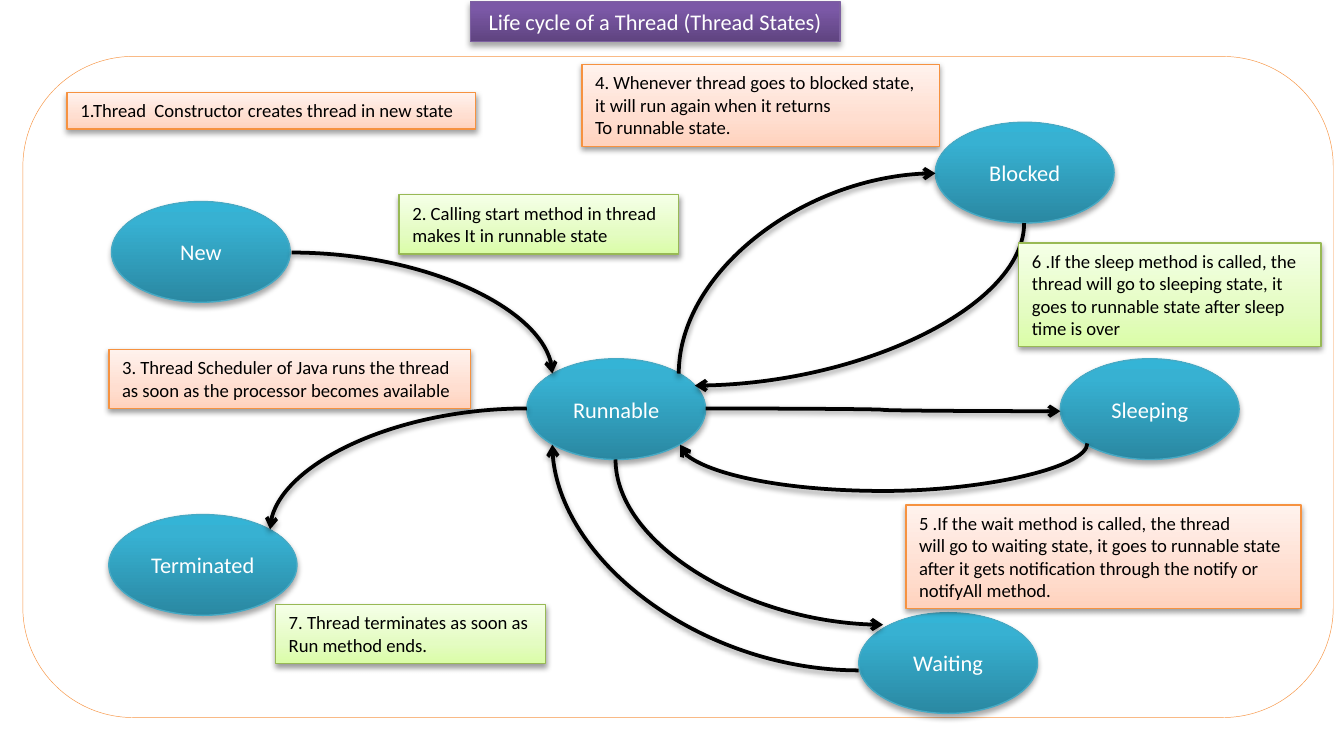
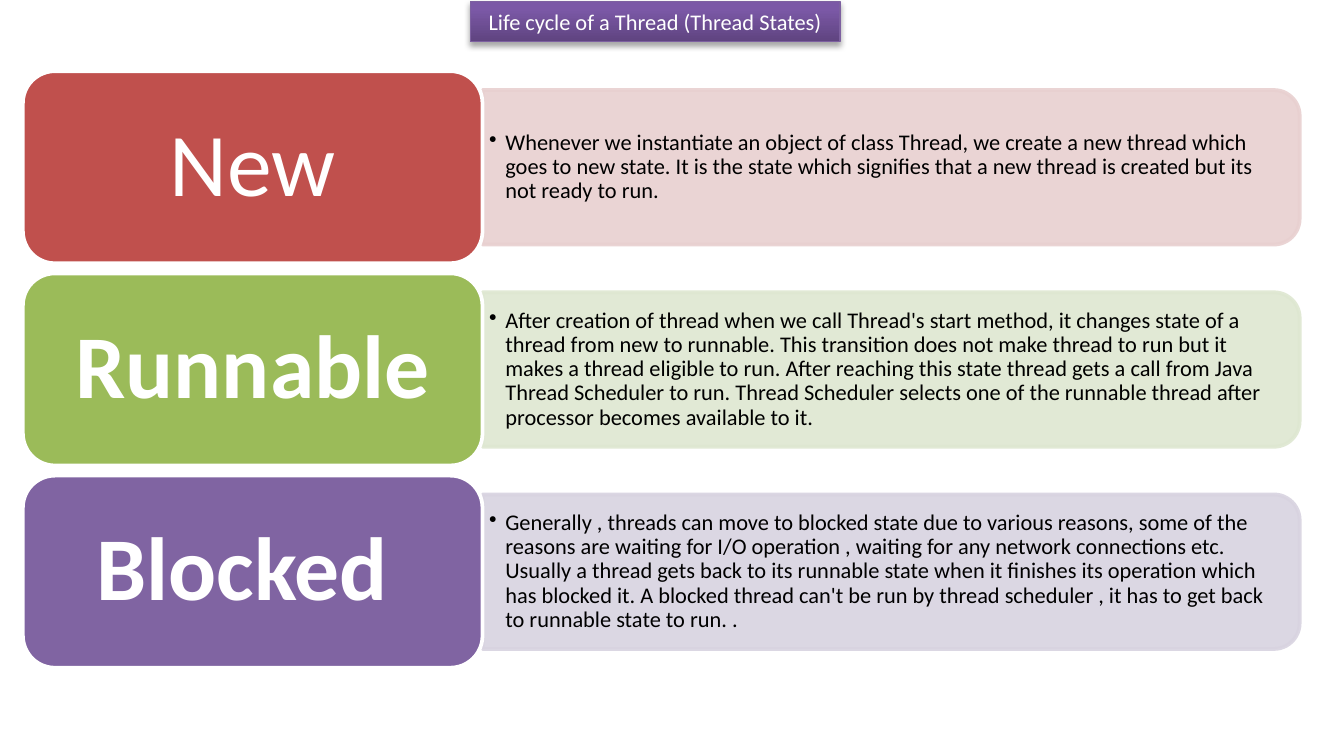
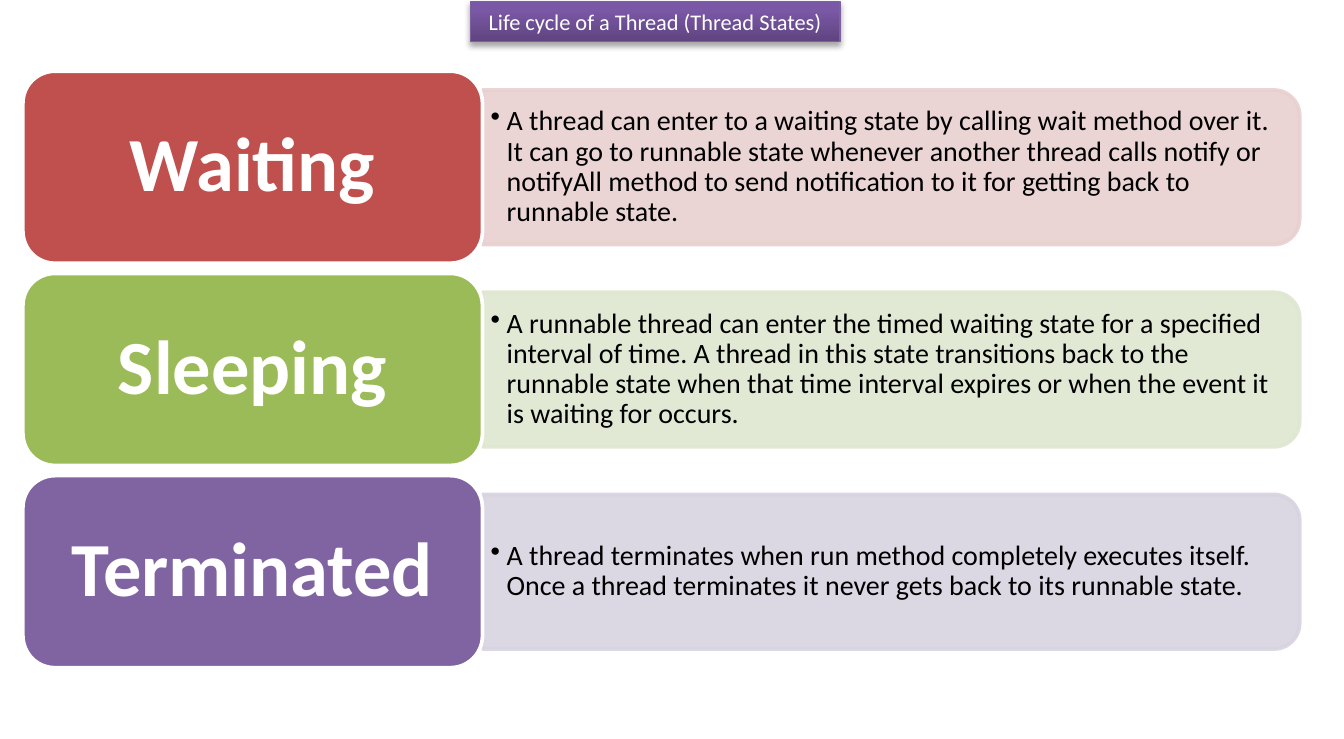
from typing import NamedTuple, Sequence

from lxml import etree
from pptx import Presentation
from pptx.dml.color import RGBColor
from pptx.enum.shapes import MSO_CONNECTOR, MSO_SHAPE
from pptx.enum.text import MSO_ANCHOR, MSO_AUTO_SIZE, PP_ALIGN
from pptx.oxml.ns import qn
from pptx.util import Inches, Pt

RECT = MSO_SHAPE.RECTANGLE
ROUND_RECT = MSO_SHAPE.ROUNDED_RECTANGLE
ROUND_TOP = MSO_SHAPE.ROUND_2_SAME_RECTANGLE
ELLIPSE = MSO_SHAPE.OVAL
CURVE = MSO_CONNECTOR.CURVE
TOP, MIDDLE = MSO_ANCHOR.TOP, MSO_ANCHOR.MIDDLE
LEFT, CENTER = PP_ALIGN.LEFT, PP_ALIGN.CENTER
FIT_SHAPE, FIXED = MSO_AUTO_SIZE.SHAPE_TO_FIT_TEXT, MSO_AUTO_SIZE.NONE

FONT = "Calibri"
BLACK = RGBColor(0x00, 0x00, 0x00)
WHITE = RGBColor(0xFF, 0xFF, 0xFF)
FRAME_ORANGE = RGBColor(0xF7, 0x96, 0x46)
RED = RGBColor(0xC0, 0x50, 0x4D)
GREEN = RGBColor(0x9B, 0xBB, 0x59)
PURPLE = RGBColor(0x80, 0x64, 0xA2)
PALE_RED = RGBColor(0xE8, 0xD0, 0xD0)
PALE_GREEN = RGBColor(0xDE, 0xE7, 0xD1)
PALE_PURPLE = RGBColor(0xD8, 0xD3, 0xE0)


class Glossy(NamedTuple):
    """Gradient stops from bottom to top, outline and shadow."""
    stops: tuple[tuple[int, str], ...]
    outline: RGBColor
    shadow_opacity: int
    shadow_distance: float


TITLE_LOOK = Glossy(((0, "5F4480"), (80, "7B58A6"), (100, "7C57A8")),
                    RGBColor(0x7D, 0x60, 0xA0), 35, 1.8)
STATE_LOOK = Glossy(((0, "2A88A2"), (80, "37B1D2"), (100, "34B4D6")),
                    RGBColor(0x46, 0xAA, 0xC5), 35, 1.8)
ORANGE_NOTE = Glossy(((0, "FFD2BD"), (35, "FFDED0"), (100, "FFF2ED")),
                     RGBColor(0xF6, 0x92, 0x40), 38, 1.6)
GREEN_NOTE = Glossy(((0, "DAFDA7"), (35, "E4FCC2"), (100, "F5FFE7")),
                    RGBColor(0x98, 0xB9, 0x55), 38, 1.6)


class State(NamedTuple):
    name: str
    left: float
    top: float
    width: float = 1.33


class Transition(NamedTuple):
    start: tuple[float, float]
    end: tuple[float, float]
    vertical_first: bool = False
    bulge: float = 0  # distance to the middle leg; 0 makes a single bend


class Note(NamedTuple):
    box: tuple[float, float, float, float]
    look: Glossy
    lines: tuple[str, ...]
    wrap: bool = False


class Card(NamedTuple):
    name: str
    description: str
    bold: bool = True


class CardStyle(NamedTuple):
    name_size: int
    description_size: int
    margin: float


STATES = (
    State("New", 0.83, 1.5),
    State("Terminated", 0.81, 3.83, 1.4),
    State("Runnable", 3.92, 2.67),
    State("Blocked", 6.96, 0.91),
    State("Waiting", 6.39, 4.56),
    State("Sleeping", 7.89, 2.67),
)
STATE_HEIGHT = 0.75

TRANSITIONS = (
    Transition((2.17, 1.88), (4.11, 2.78)),
    Transition((5.05, 2.78), (6.96, 1.29), vertical_first=True),
    Transition((7.62, 1.66), (5.17, 2.87), vertical_first=True),
    Transition((5.25, 3.04), (7.89, 3.06), bulge=1.32),
    Transition((8.09, 3.3), (5.06, 3.31), vertical_first=True, bulge=0.36),
    Transition((4.58, 3.42), (6.57, 4.65), vertical_first=True),
    Transition((6.39, 4.99), (4.11, 3.31)),
    Transition((3.92, 3.04), (2.01, 3.94)),
)

NOTES = (
    Note((0.5, 0.69, 3.04, 0.27), ORANGE_NOTE,
         ("1.Thread  Constructor creates thread in new state",)),
    Note((2.97, 1.45, 2.08, 0.44), GREEN_NOTE,
         ("2. Calling start method in thread", "makes It in runnable state")),
    Note((0.81, 2.6, 2.69, 0.44), ORANGE_NOTE,
         ("3. Thread Scheduler of Java runs the thread",
          "as soon as the processor becomes available")),
    Note((4.33, 0.48, 2.66, 0.61), ORANGE_NOTE,
         ("4. Whenever thread goes to blocked state,",
          "it will run again when it returns", "To runnable state.")),
    Note((6.74, 3.76, 2.94, 0.77), ORANGE_NOTE,
         ("5 .If the wait method is called, the thread",
          "will go to waiting state, it goes to runnable state",
          "after it gets notification through the notify or",
          "notifyAll method.")),
    Note((7.58, 1.81, 2.25, 0.77), GREEN_NOTE,
         ("6 .If the sleep method is called, the",
          "thread will go to sleeping state, it goes to runnable state "
          "after sleep time is over"), wrap=True),
    Note((2.05, 4.5, 2.01, 0.44), GREEN_NOTE,
         ("7. Thread terminates as soon as", "Run method ends.")),
)

FIRST_CARDS = (
    Card("New",
         "Whenever we instantiate an object of class Thread, we create a new "
         "thread which goes to new state. It is the state which signifies that "
         "a new thread is created but its not ready to run.", bold=False),
    Card("Runnable",
         "After creation of thread when we call Thread's start method, it "
         "changes state of a thread from new to runnable. This transition does "
         "not make thread to run but it makes a thread eligible to run. After "
         "reaching this state thread gets a call from Java Thread Scheduler to "
         "run. Thread Scheduler selects one of the runnable thread after "
         "processor becomes available to it."),
    Card("Blocked ",
         "Generally , threads can move to blocked state due to various reasons, "
         "some of the reasons are waiting for I/O operation , waiting for any "
         "network connections etc. Usually a thread gets back to its runnable "
         "state when it finishes its operation which has blocked it. A blocked "
         "thread can't be run by thread scheduler , it has to get back to "
         "runnable state to run. ."),
)
SECOND_CARDS = (
    Card("Waiting",
         "A thread can enter to a waiting state by calling wait method over it. "
         "It can go to runnable state whenever another thread calls notify or "
         "notifyAll method to send notification to it for getting back to "
         "runnable state."),
    Card("Sleeping",
         "A runnable thread can enter the timed waiting state for a specified "
         "interval of time. A thread in this state transitions back to the "
         "runnable state when that time interval expires or when the event it "
         "is waiting for occurs."),
    Card("Terminated",
         "A thread terminates when run method completely executes itself. Once "
         "a thread terminates it never gets back to its runnable state."),
)
CARD_COLORS = ((RED, PALE_RED), (GREEN, PALE_GREEN), (PURPLE, PALE_PURPLE))
CARD_LEFT, CARD_TOP, CARD_WIDTH, CARD_HEIGHT = 0.17, 0.53, 3.42, 1.43
CARD_PITCH = 1.505
BAND_LENGTH, BAND_HEIGHT = 6.08, 1.15
DESCRIPTION_WIDTH, DESCRIPTION_HEIGHT = 6.02, 1.03
BULLET_INDENT = Inches(0.12)


def add_child(parent, tag: str, **attributes):
    return etree.SubElement(parent, qn(tag),
                            {key: str(value) for key, value in attributes.items()})


def write_text(shape, paragraphs: Sequence[str], *, size: float,
               color: RGBColor = BLACK, bold: bool = False, align=LEFT,
               anchor=TOP, wrap: bool = True, fit=FIXED,
               margins: tuple[float, float] = (0.1, 0.05),
               spacing: float = 1.0, bullet: bool = False) -> None:
    frame = shape.text_frame
    frame.word_wrap, frame.auto_size, frame.vertical_anchor = wrap, fit, anchor
    frame.margin_left = frame.margin_right = Inches(margins[0])
    frame.margin_top = frame.margin_bottom = Inches(margins[1])
    for index, text in enumerate(paragraphs):
        paragraph = frame.add_paragraph() if index else frame.paragraphs[0]
        paragraph.alignment, paragraph.line_spacing = align, spacing
        if bullet:
            properties = paragraph._p.get_or_add_pPr()
            properties.set("marL", str(BULLET_INDENT))
            properties.set("indent", str(-BULLET_INDENT))
            add_child(properties, "a:buChar", char="•")
        run = paragraph.add_run()
        run.text = text
        run.font.name, run.font.size, run.font.bold = FONT, Pt(size), bold
        run.font.color.rgb = color


def add_shadow(item, opacity: int, distance: float) -> None:
    properties = item._element.spPr
    effects = properties.find(qn("a:effectLst"))
    if effects is None:
        effects = add_child(properties, "a:effectLst")
    shadow = add_child(effects, "a:outerShdw", blurRad=Pt(3.1), dist=Pt(distance),
                       dir=90 * 60000, rotWithShape=0)
    color = add_child(shadow, "a:srgbClr", val=BLACK)
    add_child(color, "a:alpha", val=opacity * 1000)


def add_box(slide, kind, box: Sequence[float], outline: RGBColor,
            line_width: float):
    shape = slide.shapes.add_shape(kind, *map(Inches, box))
    shape.shadow.inherit = False
    shape.line.color.rgb = outline
    shape.line.width = Pt(line_width)
    return shape


def add_plain(slide, kind, box: Sequence[float], fill: RGBColor,
              outline: RGBColor, line_width: float):
    shape = add_box(slide, kind, box, outline, line_width)
    shape.fill.solid()
    shape.fill.fore_color.rgb = fill
    return shape


def add_glossy(slide, kind, box: Sequence[float], look: Glossy):
    shape = add_box(slide, kind, box, look.outline, 0.75)
    shape.fill.gradient()
    shape.fill.gradient_angle = 90
    stops = shape._element.spPr.find(".//" + qn("a:gsLst"))
    for stop in list(stops):
        stops.remove(stop)
    for position, color in look.stops:
        stop = add_child(stops, "a:gs", pos=position * 1000)
        add_child(stop, "a:srgbClr", val=color)
    add_shadow(shape, look.shadow_opacity, look.shadow_distance)
    return shape


def add_title(slide) -> None:
    title = add_glossy(slide, RECT, (3.5, 0.01, 2.75, 0.3), TITLE_LOOK)
    write_text(title, ["Life cycle of a Thread (Thread States)"], size=12,
               color=WHITE, align=CENTER, fit=FIT_SHAPE)


def add_transition(slide, transition: Transition) -> None:
    (x1, y1), (x2, y2) = transition.start, transition.end
    run, rise = x2 - x1, y2 - y1
    if transition.vertical_first:  # laid out flat, then turned by 90 degrees
        run, rise = rise, -run
    mid_x, mid_y = (x1 + x2) / 2, (y1 + y2) / 2
    ends = (mid_x - run / 2, mid_y - rise / 2, mid_x + run / 2, mid_y + rise / 2)
    arrow = slide.shapes.add_connector(CURVE, *map(Inches, ends))
    arrow.rotation = 90 if transition.vertical_first else 0
    geometry = arrow._element.spPr.find(qn("a:prstGeom"))
    if transition.bulge:
        bend = round(transition.bulge / abs(run) * 100000)
        add_child(geometry.find(qn("a:avLst")), "a:gd", name="adj1",
                  fmla=f"val {bend}")
    else:
        geometry.set("prst", "curvedConnector2")
    arrow.line.color.rgb = BLACK
    arrow.line.width = Pt(2)
    add_child(arrow.line._get_or_add_ln(), "a:tailEnd", type="arrow")
    add_shadow(arrow, 38, 1.6)


def build_diagram(slide) -> None:
    add_plain(slide, ROUND_RECT, (0.17, 0.42, 9.75, 4.92), WHITE, FRAME_ORANGE, 0.25)
    add_title(slide)
    for state in STATES:
        oval = add_glossy(slide, ELLIPSE,
                          (state.left, state.top, state.width, STATE_HEIGHT),
                          STATE_LOOK)
        write_text(oval, [state.name], size=12, color=WHITE, align=CENTER,
                   anchor=MIDDLE)
    for transition in TRANSITIONS:
        add_transition(slide, transition)
    for note in NOTES:
        label = add_glossy(slide, RECT, note.box, note.look)
        write_text(label, note.lines, size=10, wrap=note.wrap, fit=FIT_SHAPE)


def build_cards(slide, cards: Sequence[Card], style: CardStyle) -> None:
    add_title(slide)
    band_left = CARD_LEFT + CARD_WIDTH
    for index, (card, (color, pale)) in enumerate(zip(cards, CARD_COLORS)):
        top = CARD_TOP + index * CARD_PITCH
        middle = top + CARD_HEIGHT / 2
        # Pale band, upright before it is turned on its side
        band = add_plain(slide, ROUND_TOP,
                         (band_left + (BAND_LENGTH - BAND_HEIGHT) / 2,
                          middle - BAND_LENGTH / 2, BAND_HEIGHT, BAND_LENGTH),
                         pale, pale, 2)
        band.rotation = 90
        for tint in band._element.spPr.iter(qn("a:srgbClr")):
            add_child(tint, "a:alpha", val=90000)
        # Description over the band
        description = slide.shapes.add_textbox(
            *map(Inches, (band_left, middle - DESCRIPTION_HEIGHT / 2,
                          DESCRIPTION_WIDTH, DESCRIPTION_HEIGHT)))
        write_text(description, [card.description], size=style.description_size,
                   anchor=MIDDLE, margins=(style.margin, 0.03), spacing=0.9,
                   bullet=True)
        # State name
        name = add_plain(slide, ROUND_RECT,
                         (CARD_LEFT, top, CARD_WIDTH, CARD_HEIGHT), color, WHITE, 2)
        write_text(name, [card.name], size=style.name_size, color=WHITE,
                   bold=card.bold, align=CENTER, anchor=MIDDLE,
                   margins=(0.17, 0.09), spacing=0.9)


def main() -> None:
    deck = Presentation()
    deck.slide_width, deck.slide_height = Inches(10), Inches(5.5)
    blank = deck.slide_layouts[6]
    build_diagram(deck.slides.add_slide(blank))
    build_cards(deck.slides.add_slide(blank), FIRST_CARDS, CardStyle(48, 12, 0.05))
    build_cards(deck.slides.add_slide(blank), SECOND_CARDS, CardStyle(41, 15, 0.06))
    deck.save("out.pptx")


if __name__ == "__main__":
    main()
